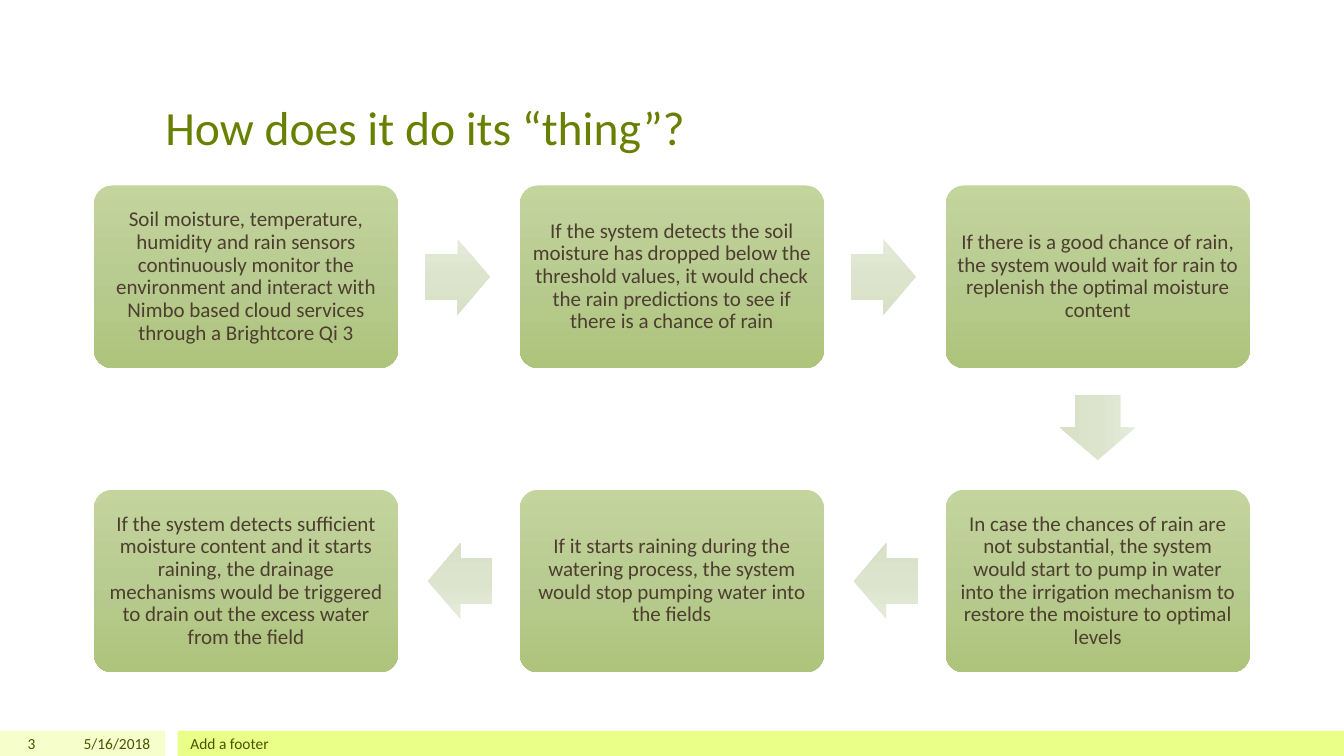
from copy import deepcopy
from dataclasses import dataclass

from pptx import Presentation
from pptx.dml.color import RGBColor
from pptx.enum.shapes import MSO_SHAPE
from pptx.enum.text import MSO_ANCHOR, PP_ALIGN
from pptx.oxml.ns import qn
from pptx.util import Pt


@dataclass(frozen=True)
class Theme:
    font: str = "Calibri"
    title_size: int = 34
    step_size: int = 15
    footer_size: int = 11
    title: str = "688000"
    step_text: str = "4D3E2F"
    footer_text: str = "455500"
    footer_light: str = "F6FFCC"
    footer_strong: str = "E9FF88"
    step_gradient: tuple = ("C3D59D", "B8CB90", "AEC47C")
    arrow_gradient: tuple = ("E4EAD9", "DCE4CE", "D8E1C6")


THEME = Theme()

# Step grid, in points
GRID_LEFT, GRID_TOP = 67, 132.5
COLUMN_PITCH, ROW_PITCH = 304.2, 217.4
STEP_WIDTH, STEP_HEIGHT = 217.4, 130.4
STEP_MARGIN = 4.3
ARROW_LENGTH, ARROW_BREADTH, ARROW_GAP = 46.1, 54, 19.4

# Column, row and wording, in reading order of the process
STEPS = [
    (0, 0, "Soil moisture, temperature, humidity and rain sensors continuously monitor "
           "the environment and interact with Nimbo based cloud services through a "
           "Brightcore Qi 3"),
    (1, 0, "If the system detects the soil moisture has dropped below the threshold "
           "values, it would check the rain predictions to see if there is a chance of rain"),
    (2, 0, "If there is a good chance of rain, the system would wait for rain to "
           "replenish the optimal moisture content"),
    (2, 1, "In case the chances of rain are not substantial, the system would start to "
           "pump in water into the irrigation mechanism to restore the moisture to "
           "optimal levels"),
    (1, 1, "If it starts raining during the watering process, the system would stop "
           "pumping water into the fields"),
    (0, 1, "If the system detects sufficient moisture content and it starts raining, the "
           "drainage mechanisms would be triggered to drain out the excess water from "
           "the field"),
]
ROTATIONS = {(1, 0): 0, (0, 1): 90, (-1, 0): 180}


def add_plain_shape(slide, kind, left, top, width, height):
    shape = slide.shapes.add_shape(kind, Pt(left), Pt(top), Pt(width), Pt(height))
    shape.shadow.inherit = False
    shape.line.fill.background()
    return shape


def fill_gradient(shape, colors):
    """Three evenly spaced stops running from top to bottom."""
    shape.fill.gradient()
    shape.fill.gradient_angle = 270
    stop_list = shape.fill.gradient_stops[0]
    elements = shape._element.spPr.find(qn("a:gradFill")).find(qn("a:gsLst"))
    elements.insert(1, deepcopy(elements[0]))
    for index, (stop, color) in enumerate(zip(shape.fill.gradient_stops, colors)):
        stop.position = index / (len(colors) - 1)
        stop.color.rgb = RGBColor.from_string(color)


def write_text(shape, text, size, color, align=PP_ALIGN.LEFT, anchor=MSO_ANCHOR.MIDDLE):
    frame = shape.text_frame
    frame.word_wrap = True
    frame.vertical_anchor = anchor
    paragraph = frame.paragraphs[0]
    paragraph.alignment = align
    run = paragraph.add_run()
    run.text = text
    run.font.name = THEME.font
    run.font.size = Pt(size)
    run.font.color.rgb = RGBColor.from_string(color)
    return frame


def add_label(slide, left, top, width, height, text, size, color, **layout):
    box = slide.shapes.add_textbox(Pt(left), Pt(top), Pt(width), Pt(height))
    write_text(box, text, size, color, **layout)


def add_bar(slide, left, top, width, height, color):
    bar = add_plain_shape(slide, MSO_SHAPE.RECTANGLE, left, top, width, height)
    bar.fill.solid()
    bar.fill.fore_color.rgb = RGBColor.from_string(color)


def add_step(slide, column, row, text):
    step = add_plain_shape(
        slide, MSO_SHAPE.ROUNDED_RECTANGLE,
        GRID_LEFT + column * COLUMN_PITCH, GRID_TOP + row * ROW_PITCH,
        STEP_WIDTH, STEP_HEIGHT)
    step.adjustments[0] = 0.1
    fill_gradient(step, THEME.step_gradient)
    frame = write_text(step, text, THEME.step_size, THEME.step_text, PP_ALIGN.CENTER)
    frame.margin_left = frame.margin_right = Pt(STEP_MARGIN)
    frame.margin_top = frame.margin_bottom = Pt(STEP_MARGIN)
    frame.paragraphs[0].line_spacing = 0.9


def add_step_arrow(slide, column, row, next_column, next_row):
    """An arrow that starts a fixed gap beyond the edge of the earlier step."""
    across, down = next_column - column, next_row - row
    reach = ARROW_GAP + ARROW_LENGTH / 2
    center_x = (GRID_LEFT + column * COLUMN_PITCH + STEP_WIDTH / 2
                + across * (STEP_WIDTH / 2 + reach))
    center_y = (GRID_TOP + row * ROW_PITCH + STEP_HEIGHT / 2
                + down * (STEP_HEIGHT / 2 + reach))
    arrow = add_plain_shape(
        slide, MSO_SHAPE.RIGHT_ARROW,
        center_x - ARROW_LENGTH / 2, center_y - ARROW_BREADTH / 2,
        ARROW_LENGTH, ARROW_BREADTH)
    arrow.adjustments[0] = 0.6
    arrow.adjustments[1] = 0.5
    arrow.rotation = ROTATIONS[across, down]
    fill_gradient(arrow, THEME.arrow_gradient)


def add_footer(slide):
    top, height = 522, 18
    add_bar(slide, 0, top, 118, height, THEME.footer_light)
    add_bar(slide, 126.8, top, 833.2, height, THEME.footer_strong)
    for left, width, text, align in [
        (0, 32.4, "3", PP_ALIGN.RIGHT),
        (36, 78.5, "5/16/2018", PP_ALIGN.RIGHT),
        (129, 720, "Add a footer", PP_ALIGN.LEFT),
    ]:
        add_label(slide, left, top, width, height, text,
                  THEME.footer_size, THEME.footer_text, align=align)


def main():
    presentation = Presentation()
    presentation.slide_width, presentation.slide_height = Pt(960), Pt(540)
    slide = presentation.slides.add_slide(presentation.slide_layouts[6])

    # Footer and title
    add_footer(slide)
    add_label(slide, 111, 21.6, 738, 92.9, "How does it do its “thing”?",
              THEME.title_size, THEME.title, anchor=MSO_ANCHOR.BOTTOM)

    # Process steps
    for column, row, text in STEPS:
        add_step(slide, column, row, text)

    # Arrows between neighbouring steps
    for (column, row, _), (next_column, next_row, _) in zip(STEPS, STEPS[1:]):
        add_step_arrow(slide, column, row, next_column, next_row)

    presentation.save("out.pptx")


if __name__ == "__main__":
    main()
